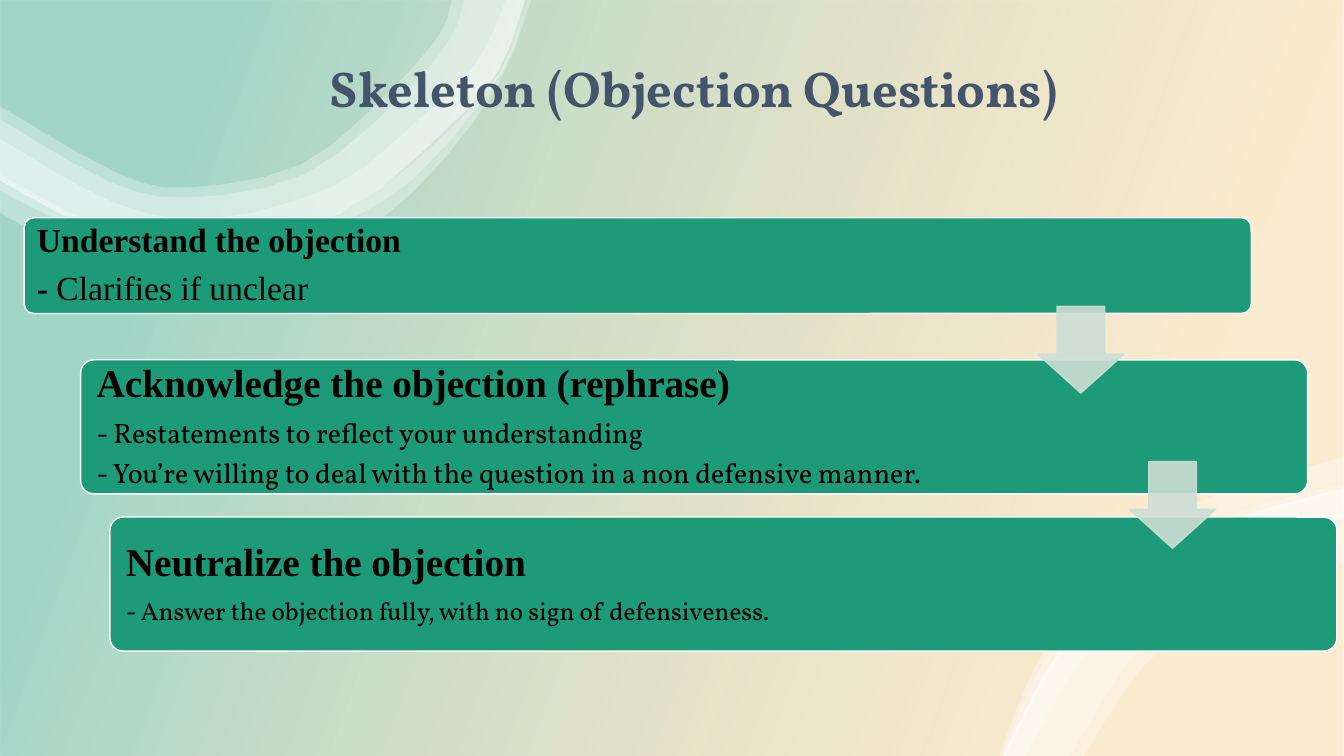
from lxml.etree import SubElement
from pptx import Presentation
from pptx.dml.color import RGBColor
from pptx.enum.shapes import MSO_SHAPE
from pptx.enum.text import MSO_ANCHOR, PP_ALIGN
from pptx.oxml.ns import qn
from pptx.util import Emu, Inches, Pt

WIDTH, HEIGHT = 13.33, 7.5
COLORS = {"green": "1D9A78", "orange": "F19D19", "white": "FFFFFF",
          "slate": "44546A", "black": "000000", "mist": "CDDED6"}
SERIF, DISPLAY = "Times New Roman", "Vollkorn"
TITLE = "Skeleton (Objection Questions)"

# left, top, height, inset, paragraphs; a paragraph is a list of (text, size, font, bold)
STEPS = [
    (0.24, 2.16, 0.95, 0.10, [
        [("Understand the objection", 24, SERIF, True)],
        [("- ", 24, SERIF, True), ("Clarifies if unclear", 24, SERIF, False)]]),
    (0.80, 3.57, 1.33, 0.12, [
        [("Acknowledge the objection (rephrase)", 28, SERIF, True)],
        [("- Restatements to reflect your understanding", 20, DISPLAY, False)],
        [("- You’re willing to deal with the question in a non defensive manner.",
          20, DISPLAY, False)]]),
    (1.09, 5.13, 1.33, 0.12, [
        [("Neutralize the objection", 28, SERIF, True)],
        [("- Answer the objection fully, with no sign of defensiveness.",
          18, DISPLAY, False)]]),
]
STEP_WIDTH = 12.17
ARROWS = [(10.29, 3.04), (11.2, 4.58)]
ARROW_SIZE = 0.86

# Each ribbon lies between two smooth edges
TOP_EDGE = [(5.21, -0.01), (4.95, 0.69), (4.45, 1.26), (3.37, 2.12), (1.87, 2.44),
            (0.93, 2.27), (-0.02, 1.78)]
BOTTOM_EDGE = [(9.94, 7.5), (10.53, 6.41), (11.26, 5.69), (12.19, 5.17), (13.34, 4.84)]
RIBBONS = [
    ([(5.23, -0.01), (4.95, 0.73), (4.14, 1.58), (3.15, 2.21), (1.93, 2.4),
      (1.03, 2.26), (-0.02, 1.72)],
     [(5.27, -0.01), (4.92, 0.88), (4.1, 1.9), (3.2, 2.49), (1.94, 2.71),
      (0.88, 2.55), (-0.02, 2.1)]),
    ([(5.02, -0.01), (4.74, 0.6), (4.16, 1.18), (3.32, 1.84), (2.1, 2.17),
      (1.13, 2.01), (-0.02, 1.36)],
     [(5.22, -0.01), (4.98, 0.72), (4.08, 1.79), (3.15, 2.29), (1.95, 2.48),
      (0.95, 2.34), (-0.02, 1.88)]),
    ([(4.6, -0.01), (4.47, 0.38), (3.95, 0.99), (3.02, 1.73), (1.87, 1.96),
      (1.08, 1.8), (-0.02, 1.17)], TOP_EDGE),
    ([(4.48, -0.01), (4.36, 0.34), (3.84, 0.93), (2.99, 1.63), (1.87, 1.86),
      (1.15, 1.71), (-0.02, 1.04)], TOP_EDGE),
    ([(9.91, 7.48), (10.39, 6.38), (11.13, 5.51), (11.95, 4.95), (13.34, 4.53)],
     [(9.97, 7.5), (10.53, 6.47), (11.25, 5.76), (12.11, 5.24), (13.34, 4.85)]),
    (BOTTOM_EDGE,
     [(10.75, 7.5), (11.22, 6.76), (11.62, 6.37), (12.31, 5.92), (13.34, 5.59)]),
    ([(9.93, 7.5), (10.35, 6.57), (10.93, 5.9), (12.06, 5.16), (13.34, 4.8)],
     [(10.17, 7.5), (10.71, 6.57), (11.3, 6), (12.21, 5.46), (13.34, 5.13)]),
    (BOTTOM_EDGE,
     [(10.62, 7.5), (11.11, 6.67), (11.54, 6.27), (12.25, 5.81), (13.34, 5.46)]),
]


def rgb(name):
    return RGBColor.from_string(COLORS[name])


def set_alpha(s, *percents):
    """Give the shape's colours, in order, these opacities."""
    for color, percent in zip(s._element.spPr.iter(qn("a:srgbClr")), percents):
        SubElement(color, qn("a:alpha"), val=str(percent * 1000))


def smooth(points, steps=3):
    """Catmull-Rom curve through the points."""
    padded = [points[0], *points, points[-1]]
    curve = [points[0]]
    for a, b, c, d in zip(padded, padded[1:], padded[2:], padded[3:]):
        for t in (i / steps for i in range(1, steps + 1)):
            curve.append(tuple(
                (2 * q + (r - p) * t + (2 * p - 5 * q + 4 * r - s) * t ** 2
                 + (3 * q - p - 3 * r + s) * t ** 3) / 2
                for p, q, r, s in zip(a, b, c, d)))
    return curve


def add_ribbon(shapes, edge, other_edge):
    outline = [(Inches(x), Inches(y)) for x, y in smooth(edge) + smooth(other_edge)[::-1]]
    builder = shapes.build_freeform(*outline[0])
    builder.add_line_segments(outline[1:])
    s = builder.convert_to_shape(Emu(0), Emu(0))
    s.shadow.inherit = False
    s.fill.solid()
    s.fill.fore_color.rgb = rgb("white")
    s.line.fill.background()
    set_alpha(s, 30)


def add_block(shapes, kind, box, fill, line, adjustments):
    s = shapes.add_shape(kind, *map(Inches, box))
    s.shadow.inherit = False
    for i, value in enumerate(adjustments):
        s.adjustments[i] = value
    s.fill.solid()
    s.fill.fore_color.rgb = rgb(fill)
    s.line.color.rgb = rgb(line)
    s.line.width = Pt(1)
    return s


def add_run(p, text, size, font, bold, color):
    r = p.add_run()
    r.text = text
    r.font.color.rgb = rgb(color)
    for name, value in {"size": Pt(size), "name": font, "bold": bold}.items():
        setattr(r.font, name, value)


def add_step(shapes, left, top, height, inset, paragraphs):
    s = add_block(shapes, MSO_SHAPE.ROUNDED_RECTANGLE, (left, top, STEP_WIDTH, height),
                  "green", "white", [0.1])
    tf = s.text_frame
    tf.word_wrap = True
    tf.vertical_anchor = MSO_ANCHOR.MIDDLE
    for side in ("left", "right", "top", "bottom"):
        setattr(tf, f"margin_{side}", Inches(inset))
    for i, runs in enumerate(paragraphs):
        p = tf.add_paragraph() if i else tf.paragraphs[0]
        p.alignment = PP_ALIGN.LEFT
        p.line_spacing = 0.9
        after = SubElement(p._p.get_or_add_pPr(), qn("a:spcAft"))
        SubElement(after, qn("a:spcPct"), val="35000")
        for run in runs:
            add_run(p, *run, "black")


def main():
    prs = Presentation()
    prs.slide_width, prs.slide_height = Inches(WIDTH), Inches(HEIGHT)
    shapes = prs.slides.add_slide(prs.slide_layouts[6]).shapes

    s = shapes.add_shape(MSO_SHAPE.RECTANGLE, 0, 0, prs.slide_width, prs.slide_height)
    s.shadow.inherit = False
    s.line.fill.background()
    s.fill.gradient()
    s.fill.gradient_angle = 160
    for stop, color, position in zip(s.fill.gradient_stops, ("orange", "green"), (0.16, 0.85)):
        stop.color.rgb = rgb(color)
        stop.position = position
    set_alpha(s, 20, 40)

    for edges in RIBBONS:
        add_ribbon(shapes, *edges)

    tf = shapes.add_textbox(*map(Inches, (2.26, 0.26, 9.25, 1.29))).text_frame
    tf.word_wrap = True
    tf.vertical_anchor = MSO_ANCHOR.MIDDLE
    p = tf.paragraphs[0]
    p.alignment = PP_ALIGN.CENTER
    p.line_spacing = 0.9
    add_run(p, TITLE, 36, DISPLAY, True, "slate")

    for step in STEPS:
        add_step(shapes, *step)
    for left, top in ARROWS:
        s = add_block(shapes, MSO_SHAPE.DOWN_ARROW, (left, top, ARROW_SIZE, ARROW_SIZE),
                      "mist", "mist", [0.55, 0.45])
        set_alpha(s, 90, 90)
    prs.save("out.pptx")


if __name__ == "__main__":
    main()
